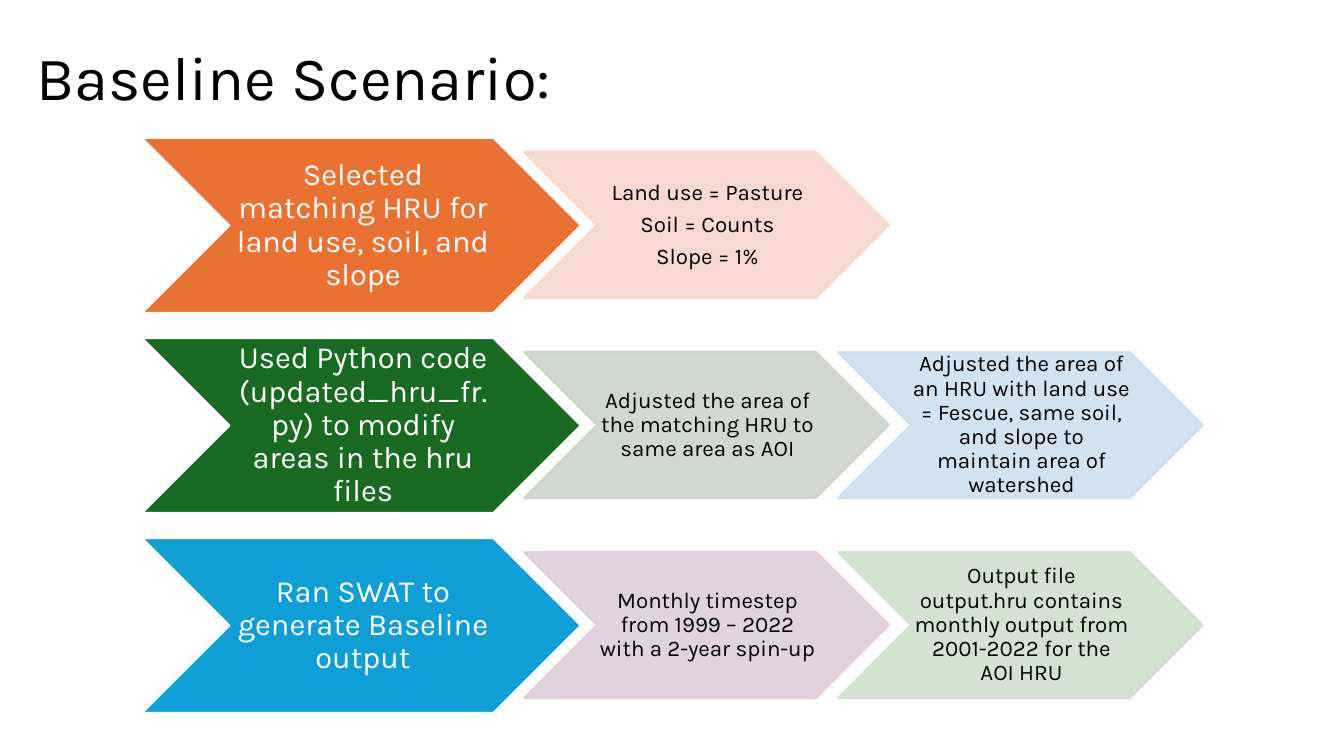
from lxml.etree import SubElement
from pptx import Presentation
from pptx.dml.color import RGBColor
from pptx.enum.shapes import MSO_SHAPE as Preset
from pptx.enum.text import MSO_ANCHOR as Anchor, MSO_AUTO_SIZE as AutoSize, PP_ALIGN as Align
from pptx.oxml.ns import qn
from pptx.util import Emu, Pt

SLIDE_WIDTH, SLIDE_HEIGHT = 1344, 756
ROW_TOP, ROW_PITCH = 138, 200
STEP_LEFT, STEP_WIDTH, STEP_HEIGHT = 142, 439, 175
DETAIL_LEFT, DETAIL_PITCH, DETAIL_WIDTH, DETAIL_HEIGHT = 524, 314, 365, 146

ROWS = [
    ("E97132", "Selected matching HRU for land use, soil, and slope", [
        ("F7D5CE", ["Land use = Pasture", "Soil = Counts", "Slope = 1%"]),
    ]),
    ("196B24", "Used Python code (updated_hru_fr.py) to modify areas in the hru files", [
        ("CCD4CD", ["Adjusted the area of the matching HRU to same area as AOI"]),
        ("CCDFEF", ["Adjusted the area of an HRU with land use = Fescue, same soil, "
                    "and slope to maintain area of watershed"]),
    ]),
    ("0F9ED5", "Ran SWAT to generate Baseline output", [
        ("DFCDDC", ["Monthly timestep from 1999 – 2022 with a 2-year spin-up"]),
        ("D0E1CD", ["Output file output.hru contains monthly output from 2001-2022 "
                    "for the AOI HRU"]),
    ]),
]


def px(length):
    return Emu(round(length * 914400 / 100.8))


def rgb(value):
    return RGBColor.from_string(value)


def write(frame, lines, size, color="000000", align=Align.CENTER, insets=None):
    frame.word_wrap = True
    frame.auto_size = AutoSize.NONE
    frame.vertical_anchor = Anchor.MIDDLE
    if insets:
        frame.margin_left, frame.margin_top, frame.margin_right, frame.margin_bottom = map(px, insets)
    for index, line in enumerate(lines):
        paragraph = frame.add_paragraph() if index else frame.paragraphs[0]
        paragraph.alignment = align
        paragraph.line_spacing = 0.9
        paragraph.space_before = Pt(0.35 * size if index else 0)
        run = paragraph.add_run()
        run.text = line
        run.font.name = "Karla"
        run.font.size = Pt(size)
        run.font.color.rgb = rgb(color)


class ScenarioSlide:
    """Draws the title and chevrons of one slide in a shared style."""

    def __init__(self, presentation):
        self.slide = presentation.slides.add_slide(presentation.slide_layouts[5])

    def title(self, text, left, top, width, height):
        title = self.slide.shapes.title
        title.left, title.top, title.width, title.height = map(px, (left, top, width, height))
        write(title.text_frame, [text], 44, align=Align.LEFT)

    def chevron(self, left, top, width, height, fill, line, opacity=100):
        shape = self.slide.shapes.add_shape(Preset.CHEVRON, *map(px, (left, top, width, height)))
        shape.shadow.inherit = False
        shape.fill.solid()
        shape.fill.fore_color.rgb = rgb(fill)
        shape.line.color.rgb = rgb(line)
        shape.line.width = Pt(1.5)
        if opacity < 100:
            for color in shape._element.spPr.iter(qn("a:srgbClr")):
                SubElement(color, qn("a:alpha"), val=str(opacity * 1000))
        return shape

    def step(self, top, color, text):
        shape = self.chevron(STEP_LEFT, top, STEP_WIDTH, STEP_HEIGHT, color, "FFFFFF")
        write(shape.text_frame, [text], 22, color="FFFFFF", insets=(3, 2, 0, 2))

    def detail(self, left, top, color, lines):
        shape = self.chevron(left, top, DETAIL_WIDTH, DETAIL_HEIGHT, color, color, opacity=90)
        write(shape.text_frame, lines, 16, insets=(2, 1, 0, 1))


def main():
    presentation = Presentation()
    presentation.slide_width, presentation.slide_height = px(SLIDE_WIDTH), px(SLIDE_HEIGHT)
    scenario = ScenarioSlide(presentation)
    scenario.title("Baseline Scenario:", 26, 8, 1159, 146)
    for row, (color, text, details) in enumerate(ROWS):
        top = ROW_TOP + row * ROW_PITCH
        scenario.step(top, color, text)
        detail_top = top + (STEP_HEIGHT - DETAIL_HEIGHT) // 2
        for column, (detail_color, lines) in enumerate(details):
            scenario.detail(DETAIL_LEFT + column * DETAIL_PITCH, detail_top, detail_color, lines)
    presentation.save("out.pptx")


if __name__ == "__main__":
    main()
